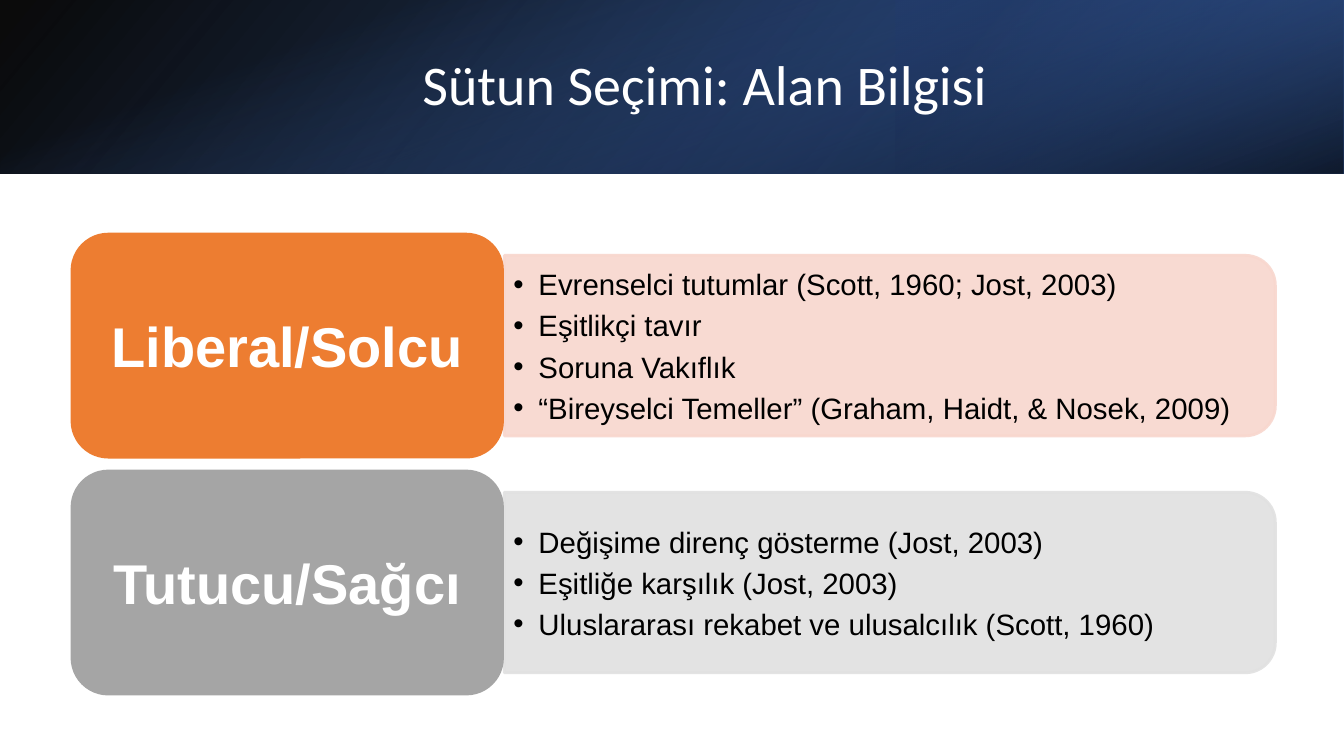
from lxml.etree import SubElement
from pptx import Presentation
from pptx.dml.color import RGBColor
from pptx.enum.shapes import MSO_SHAPE
from pptx.enum.text import MSO_ANCHOR, MSO_AUTO_SIZE, PP_ALIGN
from pptx.oxml.ns import qn
from pptx.util import Cm, Pt

# Content
TITLE = "Sütun Seçimi: Alan Bilgisi"
GROUPS = [
    ("Liberal/Solcu", "ED7D31", "F8D7CE", [
        "Evrenselci tutumlar (Scott, 1960; Jost, 2003)",
        "Eşitlikçi tavır",
        "Soruna Vakıflık",
        "“Bireyselci Temeller” (Graham, Haidt, & Nosek, 2009)",
    ]),
    ("Tutucu/Sağcı", "A5A5A5", "E1E1E1", [
        "Değişime direnç gösterme (Jost, 2003)",
        "Eşitliğe karşılık (Jost, 2003)",
        "Uluslararası rekabet ve ulusalcılık (Scott, 1960)",
    ]),
]

# Layout in centimetres
SLIDE_WIDTH, SLIDE_HEIGHT = 33.87, 19.05
HEADER_HEIGHT = 4.37
# Header layers: left, width, rotation, flipped, angle, stops (position, colour, opacity)
HEADER_LAYERS = [
    (0, SLIDE_WIDTH, 0, True, 140, [(0, "000000", 96), (100, "2F5597", 100)]),
    (22.58, 11.29, 180, True, 320, [(19, "203864", 68), (100, "4472C4", 79)]),
    (0, SLIDE_WIDTH, 90, False, 340, [(23, "4472C4", 0), (99, "000000", 74)]),
]
LABEL_LEFT, LABEL_WIDTH, LABEL_HEIGHT = 1.78, 10.92, 5.69
PANEL_LEFT, PANEL_WIDTH, PANEL_HEIGHT = 12.71, 19.43, 4.55
LIST_WIDTH, LIST_HEIGHT = 19.2, 4.09
FIRST_CENTER, ROW_PITCH = 8.71, 5.97


def color(hex_string):
    return RGBColor.from_string(hex_string)


def set_opacity(fill_element, percent):
    for color_element in fill_element.iter(qn("a:srgbClr")):
        SubElement(color_element, qn("a:alpha"), val=str(percent * 1000))


def place(shape, left, top, width, height):
    shape.left, shape.top = Cm(left), Cm(top)
    shape.width, shape.height = Cm(width), Cm(height)


def add_shape(slide, kind, left, top, width, height, fill=None, rotation=0):
    """Add a shape whose visible box is the one given, also when turned by 90 degrees."""
    if rotation == 90:
        left, top = left + (width - height) / 2, top + (height - width) / 2
        width, height = height, width
    shape = slide.shapes.add_shape(kind, Cm(left), Cm(top), Cm(width), Cm(height))
    shape.rotation = rotation
    shape.shadow.inherit = False
    shape.line.fill.background()
    if fill:
        shape.fill.solid()
        shape.fill.fore_color.rgb = color(fill)
    return shape


def set_gradient(shape, stops, angle):
    shape.fill.gradient()
    gradient = shape._element.spPr.find(qn("a:gradFill"))
    for child in list(gradient):
        gradient.remove(child)
    stop_list = SubElement(gradient, qn("a:gsLst"))
    for position, hex_string, opacity in stops:
        stop = SubElement(stop_list, qn("a:gs"), pos=str(position * 1000))
        SubElement(stop, qn("a:srgbClr"), val=hex_string)
        set_opacity(stop, opacity)
    SubElement(gradient, qn("a:lin"), ang=str(angle * 60000), scaled="0")


def set_text(shape, lines, size, font="Arial", fill="000000", bold=False,
             align=PP_ALIGN.LEFT, line_spacing=1.0, gap=0, bullet=None,
             margins=(0.25, 0.13)):
    frame = shape.text_frame
    frame.word_wrap = True
    frame.auto_size = MSO_AUTO_SIZE.NONE
    frame.vertical_anchor = MSO_ANCHOR.MIDDLE
    frame.margin_left = frame.margin_right = Cm(margins[0])
    frame.margin_top = frame.margin_bottom = Cm(margins[1])
    frame.text = "\n".join(lines)
    for number, paragraph in enumerate(frame.paragraphs, 1):
        paragraph.alignment = align
        paragraph.line_spacing = line_spacing
        paragraph.space_before = Pt(0)
        paragraph.space_after = Pt(gap if number < len(lines) else 0)
        if bullet:
            properties = paragraph._p.get_or_add_pPr()
            properties.set("marL", str(Cm(0.63)))
            properties.set("indent", str(-Cm(0.63)))
            SubElement(properties, qn("a:buFont"), typeface="Arial")
            SubElement(properties, qn("a:buChar"), char=bullet)
        for run in paragraph.runs:
            run.font.name = font
            run.font.size = Pt(size)
            run.font.bold = bold
            run.font.color.rgb = color(fill)


def bring_to_front(shape):
    shape._element.getparent().append(shape._element)


def main():
    presentation = Presentation()
    presentation.slide_width, presentation.slide_height = Cm(SLIDE_WIDTH), Cm(SLIDE_HEIGHT)
    slide = presentation.slides.add_slide(presentation.slide_layouts.get_by_name("Two Content"))
    title, *bodies = slide.placeholders

    # Header band
    for left, width, rotation, flipped, angle, stops in HEADER_LAYERS:
        layer = add_shape(slide, MSO_SHAPE.RECTANGLE, left, 0, width, HEADER_HEIGHT,
                          rotation=rotation)
        set_gradient(layer, stops, angle)
        if flipped:
            layer._element.spPr.find(qn("a:xfrm")).set("flipH", "1")

    # Title
    place(title, 3.81, 0.97, 27.89, 2.44)
    set_text(title, [TITLE], 40, font="Calibri", fill="FFFFFF",
             align=PP_ALIGN.CENTER, line_spacing=0.9)
    bring_to_front(title)

    # One row per group: panel, list, label
    for row, (body, (name, label_fill, panel_fill, points)) in enumerate(zip(bodies, GROUPS)):
        center = FIRST_CENTER + row * ROW_PITCH
        panel = add_shape(slide, MSO_SHAPE.ROUND_2_SAME_RECTANGLE, PANEL_LEFT,
                          center - PANEL_HEIGHT / 2, PANEL_WIDTH, PANEL_HEIGHT,
                          fill=panel_fill, rotation=90)
        panel.line.color.rgb = color(panel_fill)
        panel.line.width = Pt(2)
        set_opacity(panel._element.spPr, 90)

        place(body, PANEL_LEFT, center - LIST_HEIGHT / 2, LIST_WIDTH, LIST_HEIGHT)
        set_text(body, points, 21, gap=4.2, bullet="•", margins=(0.23, 0.1))
        bring_to_front(body)

        label = add_shape(slide, MSO_SHAPE.ROUNDED_RECTANGLE, LABEL_LEFT,
                          center - LABEL_HEIGHT / 2, LABEL_WIDTH, LABEL_HEIGHT,
                          fill=label_fill)
        set_text(label, [name], 40, fill="FFFFFF", bold=True, align=PP_ALIGN.CENTER)

    presentation.save("out.pptx")


if __name__ == "__main__":
    main()
